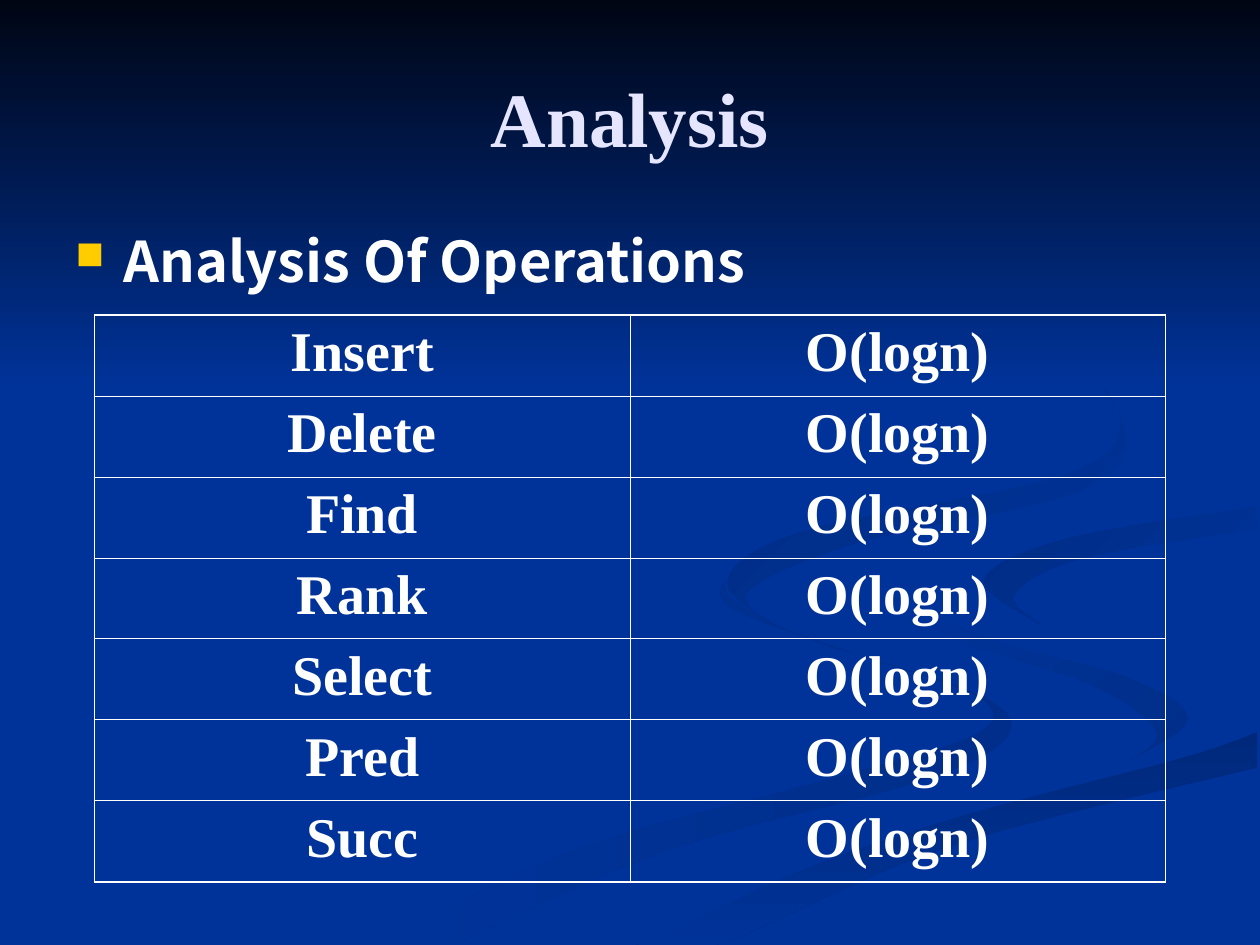
from dataclasses import dataclass

from lxml.etree import SubElement
from pptx import Presentation
from pptx.dml.color import RGBColor
from pptx.enum.shapes import MSO_SHAPE
from pptx.enum.text import MSO_ANCHOR, PP_ALIGN
from pptx.oxml.ns import qn
from pptx.util import Pt

PX = 9144


@dataclass(frozen=True)
class Theme:
    """Colours, fonts and type sizes of the deck."""
    blue: str = "003399"
    night: str = "000514"
    lilac: str = "E5E5FF"
    white: str = "FFFFFF"
    gold: str = "FFCC00"
    serif: str = "Times New Roman"
    sans: str = "Noto Sans CJK SC"
    head: int = 44
    body: int = 32
    thick: float = 1.08
    thin: float = 0.45


THEME = Theme()

RISE = [(519, 747), (630, 693), (765, 647), (936, 602), (998, 581)]
LOOP = [(998, 402), (849, 427), (781, 460), (826, 496)]
RIBBONS = [
    ("002E8A", THEME.blue, 180, [
        [(575, 459), (581, 483), (679, 519), (776, 553), (774, 583), (652, 620),
         (458, 674), (300, 749)],
        [(361, 749), (532, 674), (721, 623), (797, 588), (781, 553), (642, 507),
         (583, 477), (575, 459)]]),
    ("002E8A", THEME.blue, 225, [
        [(724, 464), (755, 505), (868, 544), (918, 581), (894, 605)],
        [(894, 605), (943, 570), (888, 535), (758, 498), (724, 464)]]),
    ("00297C", THEME.blue, 90, [RISE, [(998, 609), (752, 672), (571, 749), (503, 749)]]),
    (THEME.blue, THEME.blue, 0, [
        [(999, 387), (830, 415), (725, 464), (775, 503), (905, 540), (943, 570),
         (892, 605), (663, 668), (477, 749)],
        RISE, [(999, 538), (866, 509), *LOOP[2::-1]]]),
    (THEME.blue, "002C85", 225, [LOOP, [(826, 496), (805, 472), (859, 443), (998, 420)]]),
    (THEME.blue, "002B81", 225, [
        [(762, 233), (846, 279), (889, 335), (842, 378), (637, 422), (577, 462), (622, 500)],
        [(622, 500), (593, 470), (683, 430), (855, 391), (894, 344), (843, 275), (762, 233)]]),
]


def rgb(code):
    """Turn a hex code into a colour."""
    return RGBColor.from_string(code)


def emu(box):
    """Scale a px box to EMU."""
    return [round(n * PX) for n in box]


def curve(dots, steps=6):
    """Sample a smooth curve that passes through the dots."""
    ends = [dots[0], *dots, dots[-1]]
    path = [dots[0]]
    for quad in zip(ends, ends[1:], ends[2:], ends[3:]):
        for step in range(1, steps + 1):
            t = step / steps
            path.append(tuple(
                b + t * (c - a + t * (2 * a - 5 * b + 4 * c - d
                                      + t * (3 * b - a - 3 * c + d))) / 2
                for a, b, c, d in zip(*quad)))
    return path


def blend(shape, start, end, turn):
    """Fill a shape with a two-colour gradient at a clockwise angle."""
    shape.shadow.inherit = False
    shape.line.fill.background()
    shape.fill.gradient()
    shape.fill.gradient_angle = -turn % 360
    for stop, code, spot in zip(shape.fill.gradient_stops, (start, end), (0, 1)):
        stop.color.rgb = rgb(code)
        stop.position = spot


def write(para, text, **form):
    """Add a bold run with the given font values."""
    run = para.add_run()
    run.text = text
    run.font.color.rgb = rgb(form.pop("color"))
    for key, value in {"bold": True, **form}.items():
        setattr(run.font, key, value)


def scene(slide, box):
    """Draw the ribbons and the dark band across the top."""
    left, top, wide, _ = box
    for start, end, turn, sides in RIBBONS:
        path = [emu((left + x, top + y)) for side in sides for x, y in curve(side)]
        pen = slide.shapes.build_freeform(*path[0])
        pen.add_line_segments(path[1:], close=True)
        blend(pen.convert_to_shape(), start, end, turn)
    band = slide.shapes.add_shape(MSO_SHAPE.RECTANGLE, *emu((left, top, wide, 308)))
    blend(band, THEME.night, THEME.blue, 90)


def title(slide, box, text):
    """Place the centred title."""
    frame = slide.shapes.add_textbox(*emu(box)).text_frame
    frame.word_wrap = True
    frame.vertical_anchor = MSO_ANCHOR.MIDDLE
    para = frame.paragraphs[0]
    para.alignment = PP_ALIGN.CENTER
    write(para, text, name=THEME.serif, size=Pt(THEME.head), color=THEME.lilac)


def bullet(slide, box, text):
    """Place the line with a square bullet."""
    frame = slide.shapes.add_textbox(*emu(box)).text_frame
    frame.word_wrap = True
    para = frame.paragraphs[0]
    para.space_before = Pt(8)
    write(para, text, name=THEME.sans, size=Pt(THEME.body), color=THEME.white)
    props = para._p.get_or_add_pPr()
    for key, value in {"marL": 38 * PX, "indent": -38 * PX}.items():
        props.set(key, str(value))
    SubElement(SubElement(props, qn("a:buClr")), qn("a:srgbClr"), val=THEME.gold)
    SubElement(props, qn("a:buSzPct"), val="70000")
    SubElement(props, qn("a:buChar"), char="■")


def edge(cell, sides):
    """Draw the cell borders with the given widths."""
    props = cell._tc.get_or_add_tcPr()
    for spot, (side, width) in enumerate(sides.items()):
        line = props.makeelement(qn(f"a:{side}"), {"w": str(int(Pt(width)))})
        SubElement(SubElement(line, qn("a:solidFill")), qn("a:srgbClr"), val=THEME.white)
        props.insert(spot, line)


def grid(slide, box, rows):
    """Place the table of operations and their costs."""
    count, span = len(rows), len(rows[0])
    table = slide.shapes.add_table(count, span, *emu(box)).table
    table.first_row = table.horz_banding = False
    for r, row in enumerate(rows):
        for c, text in enumerate(row):
            cell = table.cell(r, c)
            cell.fill.background()
            outer = {"lnL": c == 0, "lnR": c == span - 1, "lnT": r == 0, "lnB": r == count - 1}
            edge(cell, {k: THEME.thick if out else THEME.thin for k, out in outer.items()})
            para = cell.text_frame.paragraphs[0]
            para.alignment = PP_ALIGN.CENTER
            para.space_before = Pt(8)
            write(para, text, name=THEME.serif, size=Pt(THEME.body), color=THEME.white)


def main():
    """Build the slide and save it."""
    deck = Presentation()
    deck.slide_width, deck.slide_height = emu((1000, 750))
    slide = deck.slides.add_slide(deck.slide_layouts[6])
    slide.background.fill.solid()
    slide.background.fill.fore_color.rgb = rgb(THEME.blue)
    scene(slide, (0, 0, 1000, 750))
    title(slide, (50, 30, 900, 125), "Analysis")
    bullet(slide, (50, 175, 742, 495), "Analysis Of Operations")
    names = ("Insert", "Delete", "Find", "Rank", "Select", "Pred", "Succ")
    grid(slide, (75, 250, 850, 450), [(name, "O(logn)") for name in names])
    deck.save("out.pptx")


if __name__ == "__main__":
    main()
